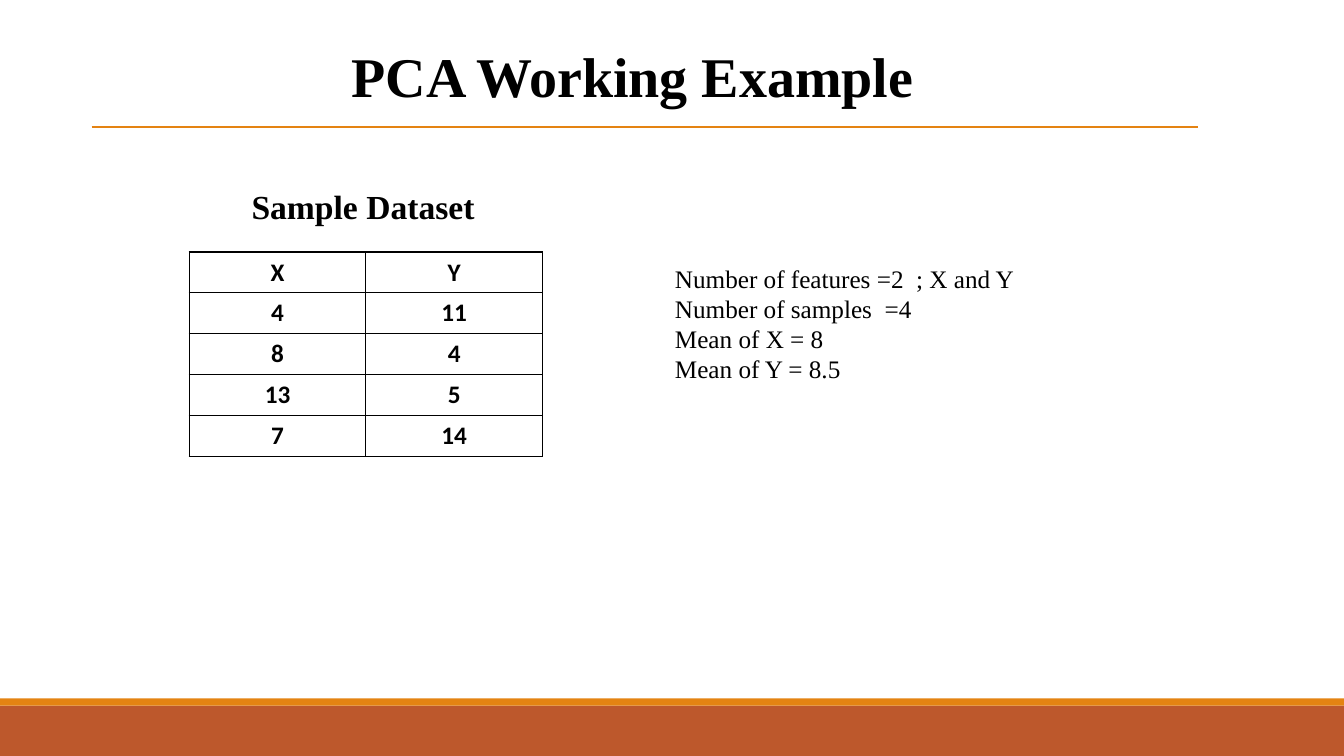
import pptx
import pptx.util
import pptx.dml.color
import pptx.enum.shapes
import pptx.enum.text
import pptx.oxml
import pptx.oxml.ns

Cm, Pt = pptx.util.Cm, pptx.util.Pt
RGBColor = pptx.dml.color.RGBColor
ALIGN = pptx.enum.text.PP_ALIGN
ANCHOR = pptx.enum.text.MSO_ANCHOR

BLACK = RGBColor(0x00, 0x00, 0x00)
WHITE = RGBColor(0xFF, 0xFF, 0xFF)
ORANGE = RGBColor(0xE4, 0x83, 0x12)
RUST = RGBColor(0xBD, 0x58, 0x2C)

SAMPLES = [("X", "Y"), (4, 11), (8, 4), (13, 5), (7, 14)]
FACTS = [
    "Number of features =2  ; X and Y",
    "Number of samples  =4",
    "Mean of X = 8",
    "Mean of Y = 8.5",
]


class Page:
    serif = "Times New Roman"
    sans = "Calibri"

    def __init__(self, deck):
        self.slide = deck.slides.add_slide(deck.slide_layouts[5])
        self.shapes = self.slide.shapes

    def fill_text(self, frame, lines, size, font, bold, align):
        frame.text = "\n".join(lines)
        for para in frame.paragraphs:
            para.alignment = align
            para.font.size = Pt(size)
            para.font.name = font
            para.font.bold = bold
            para.font.color.rgb = BLACK

    def title(self, text, left, top, width, height):
        box = self.shapes.title
        box.left, box.top, box.width, box.height = map(Cm, (left, top, width, height))
        frame = box.text_frame
        self.fill_text(frame, [text], 40, self.serif, True, ALIGN.CENTER)
        frame.vertical_anchor = ANCHOR.TOP
        frame.auto_size = pptx.enum.text.MSO_AUTO_SIZE.NONE

    def text(self, lines, left, top, width, height, size, bold=False, align=ALIGN.LEFT):
        box = self.shapes.add_textbox(*map(Cm, (left, top, width, height)))
        box.text_frame.word_wrap = True
        self.fill_text(box.text_frame, lines, size, self.serif, bold, align)

    def bar(self, top, height, color):
        kind = pptx.enum.shapes.MSO_SHAPE.RECTANGLE
        bar = self.shapes.add_shape(kind, 0, Cm(top), Cm(33.87), Cm(height))
        bar.shadow.inherit = False
        bar.fill.solid()
        bar.fill.fore_color.rgb = color
        bar.line.fill.background()

    def rule(self, left, right, top, color):
        kind = pptx.enum.shapes.MSO_CONNECTOR.STRAIGHT
        rule = self.shapes.add_connector(kind, Cm(left), Cm(top), Cm(right), Cm(top))
        rule.line.color.rgb = color
        rule.line.width = Pt(1)
        rule.element.spPr.append(pptx.oxml.parse_xml(
            f'<a:effectLst {pptx.oxml.ns.nsdecls("a")}/>'))

    def table(self, rows, left, top, width, height):
        frame = self.shapes.add_table(
            len(rows), len(rows[0]), *map(Cm, (left, top, width, height)))
        table = frame.table
        table.first_row = table.horz_banding = False
        for row, values in zip(table.rows, rows):
            for cell, value in zip(row.cells, values):
                self.fill_text(
                    cell.text_frame, [str(value)], 18, self.sans, True, ALIGN.CENTER)
                cell.fill.solid()
                cell.fill.fore_color.rgb = WHITE
                self.border(cell)

    def border(self, cell):
        """Draw a thin black border on all four sides of a cell."""
        props = cell._tc.get_or_add_tcPr()
        for spot, side in enumerate("LRTB"):
            props.insert(spot, pptx.oxml.parse_xml(
                f'<a:ln{side} {pptx.oxml.ns.nsdecls("a")} w="{Pt(1)}"><a:solidFill>'
                f'<a:srgbClr val="{BLACK}"/></a:solidFill></a:ln{side}>'))


def main():
    deck = pptx.Presentation()
    deck.slide_width, deck.slide_height = Cm(33.87), Cm(19.05)
    page = Page(deck)
    page.bar(17.78, 1.27, RUST)
    page.bar(17.6, 0.18, ORANGE)
    page.table(SAMPLES, 4.77, 6.35, 8.9, 5.15)
    page.text(FACTS, 16.76, 6.5, 13.39, 3.33, 18)
    page.text(["Sample Dataset"], 4.7, 4.55, 8.9, 1.27, 24, True, ALIGN.CENTER)
    page.title("PCA Working Example", 6.48, 0.91, 18.92, 1.96)
    page.rule(2.31, 30.18, 3.2, ORANGE)
    deck.save("out.pptx")


if __name__ == "__main__":
    main()
